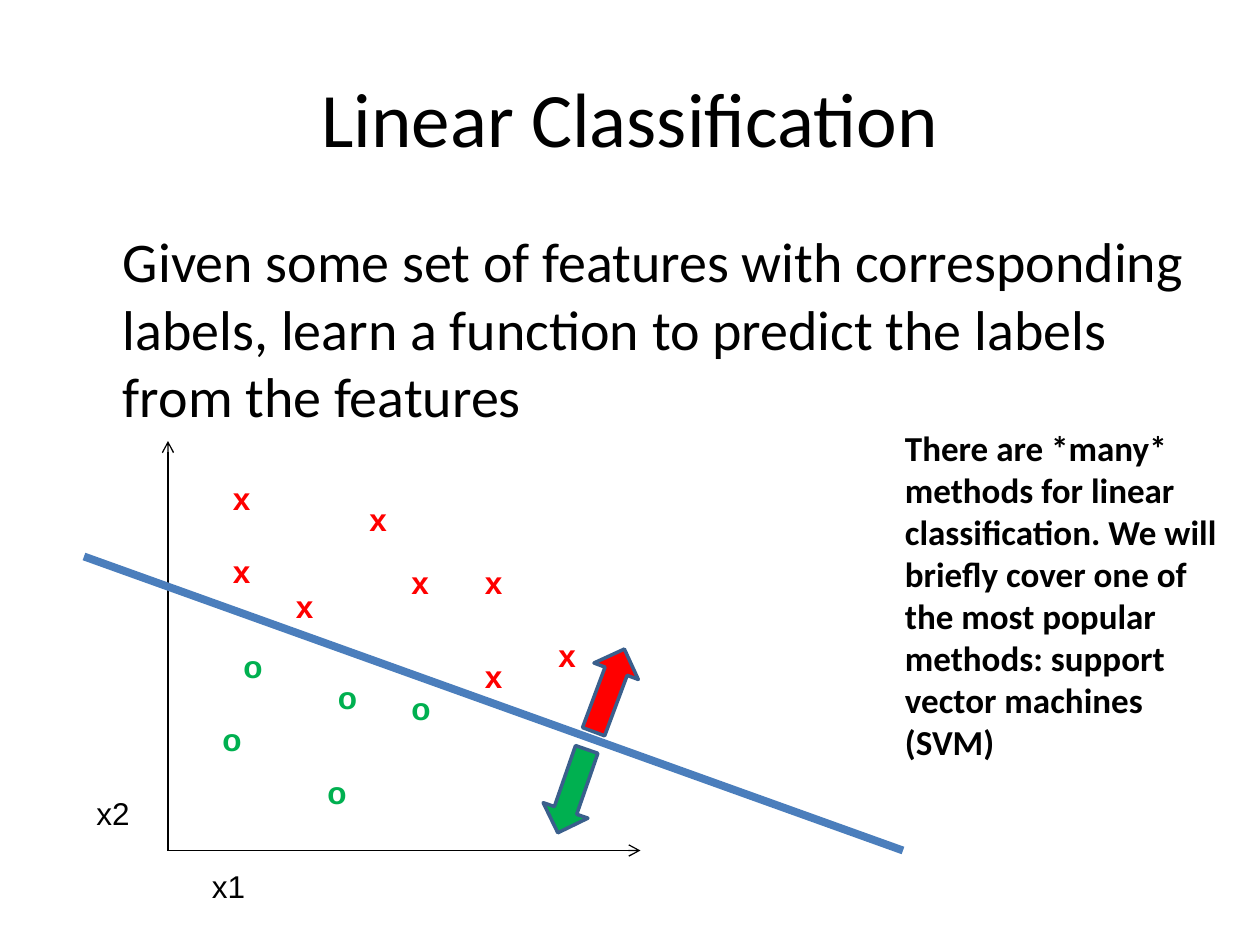
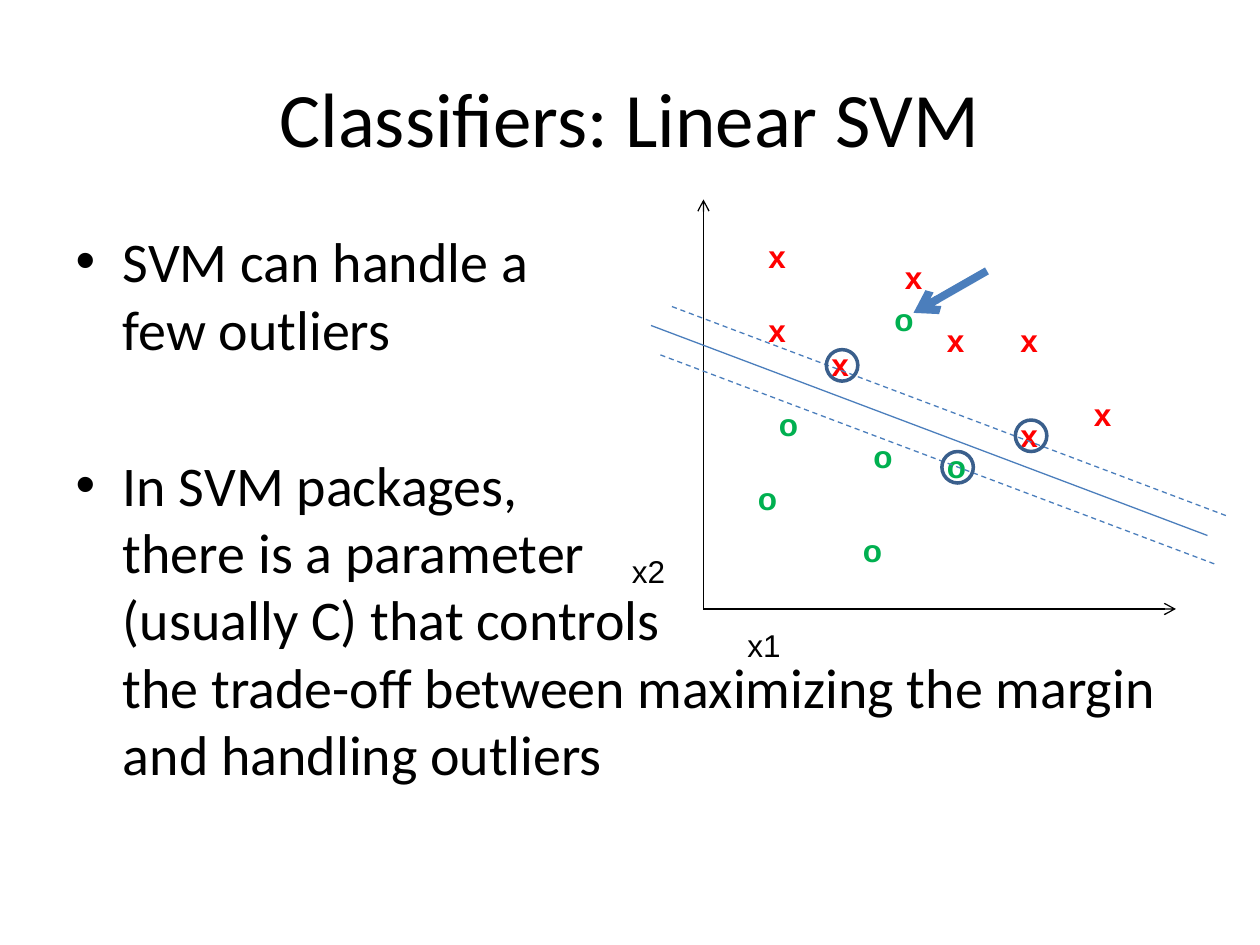
import dataclasses

import pptx
import pptx.dml.color
import pptx.enum.dml
import pptx.enum.shapes
import pptx.enum.text
import pptx.oxml
import pptx.oxml.ns
import pptx.util

SLIDE_WIDTH, SLIDE_HEIGHT = 10, 7.5
COLUMNS = 120
CELL = SLIDE_WIDTH / COLUMNS

BLACK, RED, GREEN = "000000", "FF0000", "00B050"
BLUE, OUTLINE = "4B7EBC", "3A5F8C"
LABEL_HEIGHT = 4.8
LABEL_WIDTHS = {"x": 4.1, "o": 4.3, "x1": 5.6, "x2": 5.6}

CROSSES = [(30, 11), (37, 11), (37, 20), (44, 18), (13, 3), (13, 10), (26, 5), (19, 13.3)]
CIRCLES = [(30, 23), (12, 26), (14, 19), (22, 31), (23, 22)]
OUTLIER = (25, 9)
SUPPORT_VECTORS = [(19, 13.3), (37, 20), (30, 23)]


@dataclasses.dataclass
class Box:
    """A region of the slide, measured in grid columns and rows."""

    left: float
    top: float
    width: float
    height: float

    def inner(self, column, row, width, height):
        """Return a box placed relative to this one."""
        return Box(self.left + column, self.top + row, width, height)

    def point(self, column, row):
        """Return the slide position of a point inside this box."""
        return length(self.left + column), length(self.top + row)

    def frame(self):
        """Return left, top, width and height as slide lengths."""
        return [length(cells) for cells in dataclasses.astuple(self)]


TITLE_BOX = Box(6, 3.6, 108, 15)
BODY_BOX = Box(6, 21, 108, 59.4)


def length(cells):
    """Convert grid cells to a slide length."""
    return pptx.util.Inches(cells * CELL)


def color(code):
    """Convert a hex string to a colour."""
    return pptx.dml.color.RGBColor.from_string(code)


def write_text(paragraph, text, font="Calibri", size=32, code=BLACK, bold=False, before=None):
    """Fill a paragraph with formatted text."""
    paragraph.text = text
    if before is not None:
        paragraph.space_before = pptx.util.Pt(before)
    for run in paragraph.runs:
        run.font.name = font
        run.font.size = pptx.util.Pt(size)
        run.font.bold = bold
        run.font.color.rgb = color(code)


def place(shape, box):
    """Move and resize a shape to a box."""
    shape.left, shape.top, shape.width, shape.height = box.frame()


def add_text(shapes, box, text, wrap=False, **text_format):
    """Add a text box that grows with its text."""
    frame = shapes.add_textbox(*box.frame()).text_frame
    frame.word_wrap = wrap
    frame.auto_size = pptx.enum.text.MSO_AUTO_SIZE.SHAPE_TO_FIT_TEXT
    write_text(frame.paragraphs[0], text, **text_format)


def add_label(shapes, plot, position, text, **text_format):
    """Add a short label at a position in the plot."""
    box = plot.inner(*position, LABEL_WIDTHS[text], LABEL_HEIGHT)
    add_text(shapes, box, text, font="Arial", size=18, **text_format)


def add_line(shapes, plot, start, end, code=BLUE, width=0.75, dashed=False, arrow=False):
    """Draw a straight line between two positions in the plot."""
    straight = pptx.enum.shapes.MSO_CONNECTOR.STRAIGHT
    connector = shapes.add_connector(straight, *plot.point(*start), *plot.point(*end))
    connector.line.color.rgb = color(code)
    connector.line.width = pptx.util.Pt(width)
    if dashed:
        connector.line.dash_style = pptx.enum.dml.MSO_LINE.DASH
    properties = connector.element.spPr
    if arrow:
        head = pptx.oxml.ns.qn("a:tailEnd")
        outline = properties.find(pptx.oxml.ns.qn("a:ln"))
        outline.append(outline.makeelement(head, {"type": "arrow"}))
    properties.append(properties.makeelement(pptx.oxml.ns.qn("a:effectLst"), {}))


def add_outlined_shape(shapes, kind, box, fill=None, rotation=0):
    """Add a preset shape with the shared dark outline."""
    shape = shapes.add_shape(kind, *box.frame())
    shape.shadow.inherit = False
    shape.rotation = rotation
    shape.line.color.rgb = color(OUTLINE)
    shape.line.width = pptx.util.Pt(2)
    if fill:
        shape.fill.solid()
        shape.fill.fore_color.rgb = color(fill)
    else:
        shape.fill.background()


def add_scatter(slide, plot, circles):
    """Draw the axes, their names and the two classes of points."""
    shapes = slide.shapes.add_group_shape().shapes
    for markers, text, code in ((CROSSES, "x", RED), (circles, "o", GREEN)):
        for position in markers:
            add_label(shapes, plot, position, text, code=code, bold=True)
    for end in ((8, 0), (53, 39)):
        add_line(shapes, plot, (8, 39), end, code=BLACK, arrow=True)
    add_label(shapes, plot, (0, 33), "x2")
    add_label(shapes, plot, (11, 40), "x1")


def add_slide(presentation, title):
    """Add a slide with its title and return it with its body frame."""
    slide = presentation.slides.add_slide(presentation.slide_layouts[1])
    heading, body = slide.shapes.title, slide.placeholders[1]
    place(heading, TITLE_BOX)
    place(body, BODY_BOX)
    for shape in (heading, body):
        shape.text_frame.auto_size = pptx.enum.text.MSO_AUTO_SIZE.NONE
    write_text(heading.text_frame.paragraphs[0], title, size=44)
    return slide, body.text_frame


def add_decision(slide, plot):
    """Draw the decision line with an arrow towards each class."""
    add_line(slide.shapes, plot, (0, 11), (78, 39), width=4.5)
    arrow = pptx.enum.shapes.MSO_SHAPE.RIGHT_ARROW
    for column, row, code, rotation in ((45.8, 21.5, RED, 290.4), (42.3, 31.1, GREEN, 109.1)):
        box = plot.inner(column, row, 8.4, 4.5)
        add_outlined_shape(slide.shapes, arrow, box, fill=code, rotation=rotation)


def add_margin(slide, plot):
    """Draw the separator, its margins, the support vectors and a pointer."""
    for column, row, dashed in ((3, 12, False), (5, 10.2, True), (3.9, 14.8, True)):
        end = (column + 53, row + 20)
        add_line(slide.shapes, plot, (column, row), end, dashed=dashed)
    for column, row in SUPPORT_VECTORS:
        box = plot.inner(column + 0.7, row + 1, 3, 3)
        add_outlined_shape(slide.shapes, pptx.enum.shapes.MSO_SHAPE.OVAL, box)
    add_line(slide.shapes, plot, (35, 6.8), (28, 10.8), width=4.5, arrow=True)


def build_classification(presentation):
    """Build the slide that introduces linear classification."""
    slide, body = add_slide(presentation, "Linear Classification")
    paragraph = body.paragraphs[0]
    write_text(
        paragraph,
        "Given some set of features with corresponding labels, "
        "learn a function to predict the labels from the features",
    )
    properties = paragraph._p.get_or_add_pPr()
    properties.set("indent", "0")
    properties.append(properties.makeelement(pptx.oxml.ns.qn("a:buNone"), {}))
    plot = Box(8, 42, 53, 45)
    add_scatter(slide, plot, CIRCLES)
    add_decision(slide, plot)
    add_text(
        slide.shapes,
        Box(85, 40, 33, 33.5),
        "There are *many* methods for linear classification. We will briefly cover "
        "one of the most popular methods: support vector machines (SVM)",
        wrap=True,
        size=20,
        bold=True,
    )


def build_svm(presentation):
    """Build the slide on the linear SVM and its outliers."""
    slide, body = add_slide(presentation, "Classifiers: Linear SVM")
    write_text(body.paragraphs[0], "SVM can handle a\nfew outliers")
    write_text(
        body.add_paragraph(),
        "In SVM packages,\nthere is a parameter\n(usually C) that controls\n"
        "the trade-off between maximizing the margin and handling outliers",
        before=51,
    )
    plot = Box(59, 19, 53, 45)
    add_scatter(slide, plot, [OUTLIER] + CIRCLES)
    add_margin(slide, plot)


def main():
    """Build and save the presentation."""
    presentation = pptx.Presentation()
    presentation.slide_width = pptx.util.Inches(SLIDE_WIDTH)
    presentation.slide_height = pptx.util.Inches(SLIDE_HEIGHT)
    build_classification(presentation)
    build_svm(presentation)
    presentation.save("out.pptx")


if __name__ == "__main__":
    main()
